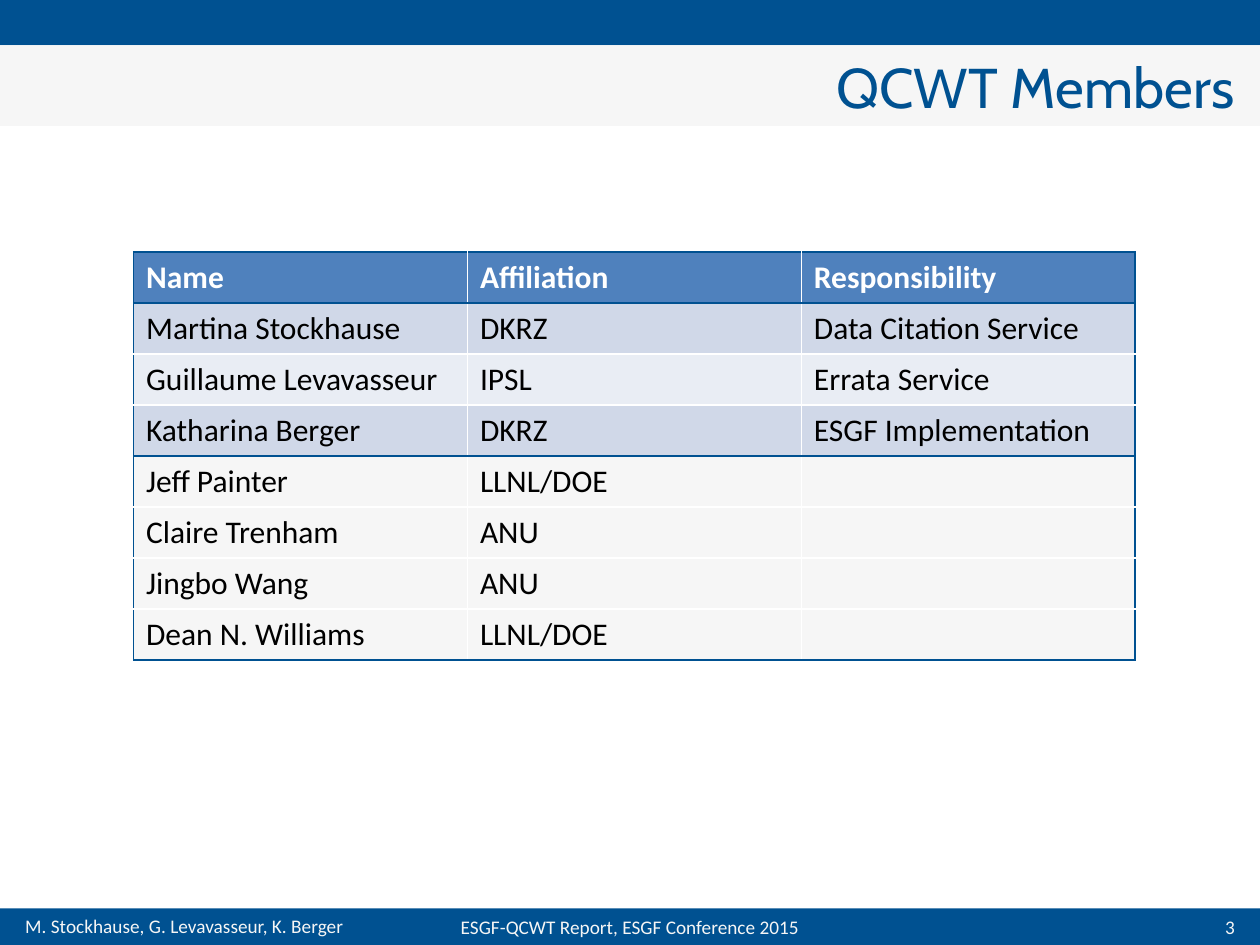
from lxml import etree
from pptx import Presentation
from pptx.dml.color import RGBColor
from pptx.enum.shapes import MSO_SHAPE
from pptx.enum.text import MSO_ANCHOR, PP_ALIGN
from pptx.oxml.ns import qn
from pptx.util import Inches, Pt

RECTANGLE = MSO_SHAPE.RECTANGLE
TOP, MIDDLE = MSO_ANCHOR.TOP, MSO_ANCHOR.MIDDLE
LEFT, CENTER, RIGHT = PP_ALIGN.LEFT, PP_ALIGN.CENTER, PP_ALIGN.RIGHT
COLORS = {
    "blue": "005191", "pale": "F6F6F6", "white": "FFFFFF", "black": "000000",
    "header": "4F81BD", "dark_band": "D0D8E8", "light_band": "E9EDF4",
}


def write_text(text_frame, text, size=11, font="Calibri", color="pale",
               bold=False, align=LEFT, anchor=MIDDLE, side_margin=0.2):
    text_frame.word_wrap = True
    text_frame.vertical_anchor = anchor
    text_frame.margin_left = text_frame.margin_right = Inches(side_margin)
    text_frame.margin_top = text_frame.margin_bottom = Inches(0.05)
    paragraph = text_frame.paragraphs[0]
    paragraph.alignment = align
    run = paragraph.add_run()
    run.text = text
    run.font.size = Pt(size)
    run.font.name = font
    run.font.bold = bold
    run.font.color.rgb = RGBColor.from_string(COLORS[color])


def set_border(cell, side, color):
    line = etree.SubElement(cell._tc.get_or_add_tcPr(), qn(f"a:ln{side}"), w=str(Pt(1)))
    fill = etree.SubElement(line, qn("a:solidFill"))
    etree.SubElement(fill, qn("a:srgbClr"), val=COLORS[color])


presentation = Presentation()
presentation.slide_width, presentation.slide_height = Inches(10), Inches(7.5)
slide = presentation.slides.add_slide(presentation.slide_layouts[6])
width = presentation.slide_width

# Full-width bands: top bar, footer bar, title band
footer_top, footer_height = Inches(7.21), Inches(0.29)
bands = [
    (0, Inches(0.36), "blue"),
    (footer_top, footer_height, "blue"),
    (Inches(0.36), Inches(0.64), "pale"),
]
for top, height, color in bands:
    band = slide.shapes.add_shape(RECTANGLE, 0, top, width, height)
    band.shadow.inherit = False
    band.fill.solid()
    band.fill.fore_color.rgb = RGBColor.from_string(COLORS[color])
    band.line.fill.background()

# Title, in the last band
write_text(band.text_frame, "QCWT Members", size=32, font="Cabin", color="blue", align=RIGHT)

# Footer texts
footers = [
    (0, 3.11, "M. Stockhause, G. Levavasseur, K. Berger", LEFT, TOP, 0.2),
    (9.17, 0.83, "3", RIGHT, MIDDLE, 0.2),
    (2.24, 5.52, "ESGF-QCWT Report, ESGF Conference 2015", CENTER, MIDDLE, 0.1),
]
for left, box_width, text, align, anchor, margin in footers:
    box = slide.shapes.add_textbox(Inches(left), footer_top, Inches(box_width), footer_height)
    write_text(box.text_frame, text, align=align, anchor=anchor, side_margin=margin)

# Members table
members = [
    ("Name", "Affiliation", "Responsibility"),
    ("Martina Stockhause", "DKRZ", "Data Citation Service"),
    ("Guillaume Levavasseur", "IPSL", "Errata Service"),
    ("Katharina Berger", "DKRZ", "ESGF Implementation"),
    ("Jeff Painter", "LLNL/DOE", ""),
    ("Claire Trenham", "ANU", ""),
    ("Jingbo Wang", "ANU", ""),
    ("Dean N. Williams", "LLNL/DOE", ""),
]
row_fills = ["header", "dark_band", "light_band", "dark_band"] + ["pale"] * 4
row_count, column_count = len(members), len(members[0])
blue_row_edges = {0, 1, 4, row_count}
blue_column_edges = {0, column_count}

table = slide.shapes.add_table(
    row_count, column_count, Inches(1.06), Inches(2),
    Inches(2.65) * column_count, Inches(0.405) * row_count).table

for row, texts in enumerate(members):
    for column, text in enumerate(texts):
        cell = table.cell(row, column)
        for side, edge, blue_edges in (
                ("L", column, blue_column_edges), ("R", column + 1, blue_column_edges),
                ("T", row, blue_row_edges), ("B", row + 1, blue_row_edges)):
            set_border(cell, side, "blue" if edge in blue_edges else "white")
        cell.fill.solid()
        cell.fill.fore_color.rgb = RGBColor.from_string(COLORS[row_fills[row]])
        if text:
            write_text(cell.text_frame, text, size=18, bold=row == 0, anchor=TOP,
                       color="white" if row == 0 else "black", side_margin=0.1)

presentation.save("out.pptx")
